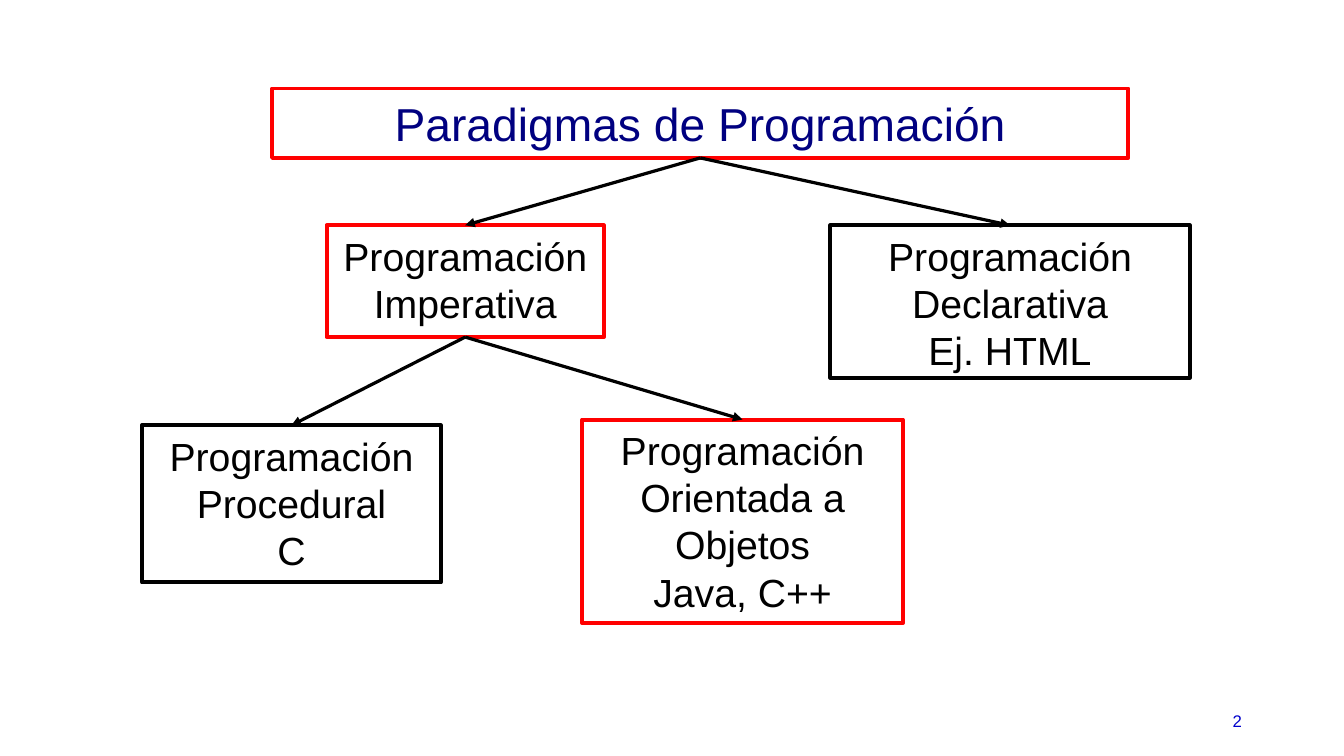
from dataclasses import dataclass

from pptx import Presentation
from pptx.dml.color import RGBColor
from pptx.enum import shapes, text
from pptx.oxml import parse_xml
from pptx.oxml.ns import nsdecls
from pptx.util import Pt


@dataclass(frozen=True)
class Theme:
    font: str = "Arial"
    ink: str = "000000"
    highlight: str = "FF0000"
    title: str = "000080"
    number: str = "0000CC"
    title_size: float = 33
    node_size: float = 28
    number_size: float = 12
    border: float = 2.83
    arrow: float = 2.3


THEME = Theme()


def write_text(shape, content, size, color, align=text.PP_ALIGN.CENTER,
               anchor=text.MSO_ANCHOR.MIDDLE, margins=(7.2, 3.6)):
    frame = shape.text_frame
    frame.text = content
    frame.word_wrap = True
    frame.auto_size = text.MSO_AUTO_SIZE.NONE
    frame.vertical_anchor = anchor
    frame.margin_left = frame.margin_right = Pt(margins[0])
    frame.margin_top = frame.margin_bottom = Pt(margins[1])
    for paragraph in frame.paragraphs:
        paragraph.alignment = align
        paragraph.line_spacing = 1.0
        paragraph.space_before = Pt(0)
        paragraph.font.name = THEME.font
        paragraph.font.size = Pt(size)
        paragraph.font.color.rgb = RGBColor.from_string(color)


def outline(shape, color):
    shape.fill.background()
    shape.line.color.rgb = RGBColor.from_string(color)
    shape.line.width = Pt(THEME.border)


def add_title(slide, content, box):
    title = slide.shapes.title
    title.left, title.top, title.width, title.height = map(Pt, box)
    outline(title, THEME.highlight)
    write_text(title, content, THEME.title_size, THEME.title, margins=(1.44, 1.44))
    return title


def add_node(slide, content, box, border):
    node = slide.shapes.add_shape(shapes.MSO_SHAPE.RECTANGLE, *map(Pt, box))
    node.shadow.inherit = False
    outline(node, border)
    write_text(node, content, THEME.node_size, THEME.ink,
               anchor=text.MSO_ANCHOR.TOP, margins=(8.64, 5.04))
    return node


def add_arrow(slide, parent, child):
    top_site, bottom_site = 0, 2
    arrow = slide.shapes.add_connector(shapes.MSO_CONNECTOR.STRAIGHT, 0, 0, 0, 0)
    arrow.begin_connect(parent, bottom_site)
    arrow.end_connect(child, top_site)
    arrow.line.color.rgb = RGBColor.from_string(THEME.ink)
    arrow.line.width = Pt(THEME.arrow)
    arrow.line._get_or_add_ln().append(
        parse_xml(f'<a:tailEnd {nsdecls("a")} type="triangle"/>'))
    arrow._element.spPr.append(parse_xml(f'<a:effectLst {nsdecls("a")}/>'))


def add_page_number(slide, number, box):
    label = slide.shapes.add_textbox(*map(Pt, box))
    write_text(label, str(number), THEME.number_size, THEME.number,
               align=text.PP_ALIGN.RIGHT)


def build_paradigm_tree(slide):
    paradigms = add_title(slide, "Paradigmas de Programación", (194.4, 63.2, 611.6, 49.6))
    imperative = add_node(slide, "Programación Imperativa",
                          (233.3, 160.9, 198, 79.9), THEME.highlight)
    declarative = add_node(slide, "Programación Declarativa\nEj. HTML",
                           (593, 160.9, 256.8, 109), THEME.ink)
    procedural = add_node(slide, "Programación Procedural\nC",
                          (101.5, 303.8, 213.4, 112.3), THEME.ink)
    objects = add_node(slide, "Programación Orientada a Objetos\nJava, C++",
                       (415.9, 299.7, 229, 145.4), THEME.highlight)
    for parent, children in ((paradigms, (imperative, declarative)),
                             (imperative, (procedural, objects))):
        for child in children:
            add_arrow(slide, parent, child)


def main():
    presentation = Presentation()
    presentation.slide_width, presentation.slide_height = Pt(960), Pt(540)
    title_only = presentation.slide_layouts[5]
    slide = presentation.slides.add_slide(title_only)
    build_paradigm_tree(slide)
    add_page_number(slide, 2, (678.2, 500.4, 216, 28.8))
    presentation.save("out.pptx")


if __name__ == "__main__":
    main()
